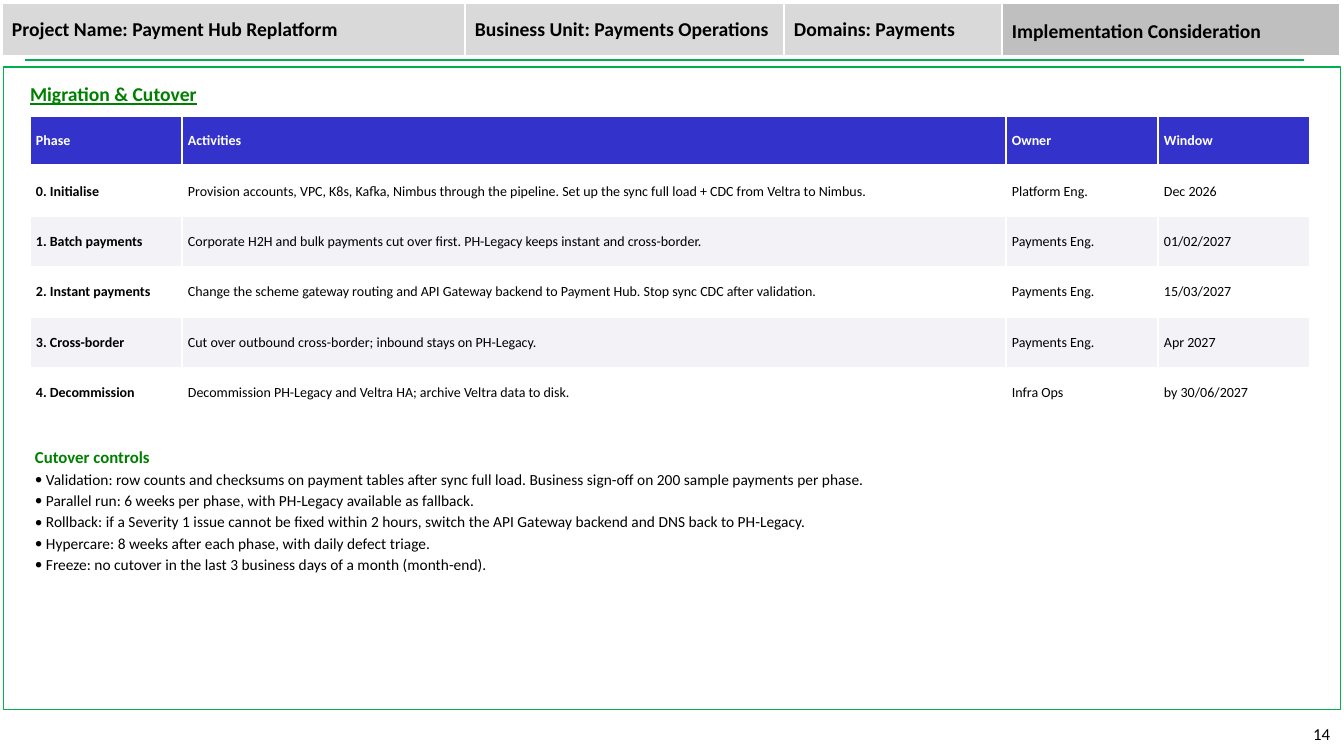
from dataclasses import dataclass

from lxml import etree
from pptx import Presentation, util as u
from pptx.dml.color import RGBColor
from pptx.enum import shapes, text
from pptx.oxml.ns import qn

EMU_PER_PX = 914400 / 100.8
FONT = "Calibri"
COLOURS = {
    "black": "000000",
    "white": "FFFFFF",
    "rule": "00B050",
    "heading": "008000",
    "header": "3333CC",
    "band": "F2F2F7",
    "grey": "D9D9D9",
    "dark grey": "BFBFBF",
}


@dataclass(frozen=True)
class Area:
    left: int
    top: int
    width: int
    height: int

    def emu(self) -> list[int]:
        return [px(side) for side in (self.left, self.top, self.width, self.height)]


@dataclass(frozen=True)
class Style:
    size: int
    colour: str = "black"
    bold: bool = False
    underline: bool = False


@dataclass(frozen=True)
class Inset:
    across: int
    down: int


@dataclass(frozen=True)
class Phase:
    name: str
    activities: str
    owner: str
    window: str


BANNER = Style(14, bold=True)
TITLE = Style(14, "heading", bold=True, underline=True)
SUBHEADING = Style(12, "heading", bold=True)
BULLET = Style(11)
PAGE_NUMBER = Style(12)
TABLE_HEADER = Style(10, "white", bold=True)
PHASE_NAME = Style(10, bold=True)
TABLE_BODY = Style(10)

WIDE = Inset(10, 5)
TIGHT = Inset(5, 3)
CELL = Inset(6, 3)

BANNER_CELLS = [
    ("Project Name: Payment Hub Replatform", 463, "grey"),
    ("Business Unit: Payments Operations", 319, "grey"),
    ("Domains: Payments", 218, "grey"),
    ("", 338, "dark grey"),
]
PHASE_WIDTHS = [152, 824, 152, 152]
PHASES = [
    Phase("Phase", "Activities", "Owner", "Window"),
    Phase("0. Initialise",
          "Provision accounts, VPC, K8s, Kafka, Nimbus through the pipeline. "
          "Set up the sync full load + CDC from Veltra to Nimbus.",
          "Platform Eng.", "Dec 2026"),
    Phase("1. Batch payments",
          "Corporate H2H and bulk payments cut over first. "
          "PH-Legacy keeps instant and cross-border.",
          "Payments Eng.", "01/02/2027"),
    Phase("2. Instant payments",
          "Change the scheme gateway routing and API Gateway backend to Payment Hub. "
          "Stop sync CDC after validation.",
          "Payments Eng.", "15/03/2027"),
    Phase("3. Cross-border",
          "Cut over outbound cross-border; inbound stays on PH-Legacy.",
          "Payments Eng.", "Apr 2027"),
    Phase("4. Decommission",
          "Decommission PH-Legacy and Veltra HA; archive Veltra data to disk.",
          "Infra Ops", "by 30/06/2027"),
]
CONTROLS = [
    "Validation: row counts and checksums on payment tables after sync full load. "
    "Business sign-off on 200 sample payments per phase.",
    "Parallel run: 6 weeks per phase, with PH-Legacy available as fallback.",
    "Rollback: if a Severity 1 issue cannot be fixed within 2 hours, "
    "switch the API Gateway backend and DNS back to PH-Legacy.",
    "Hypercare: 8 weeks after each phase, with daily defect triage.",
    "Freeze: no cutover in the last 3 business days of a month (month-end).",
]


def px(length: int) -> int:
    return round(length * EMU_PER_PX)


def rgb(name: str) -> RGBColor:
    return RGBColor.from_string(COLOURS[name])


def write(para, words: str, style: Style) -> None:
    para.text = words
    for span in para.runs:
        span.font.name = FONT
        span.font.size = u.Pt(style.size)
        span.font.bold = style.bold
        span.font.underline = style.underline
        span.font.color.rgb = rgb(style.colour)


def set_insets(holder, inset: Inset) -> None:
    """Set the margins of a text frame or a table cell."""
    holder.margin_left = holder.margin_right = px(inset.across)
    holder.margin_top = holder.margin_bottom = px(inset.down)


def add_text(page, area: Area, words: str, style: Style, inset: Inset = WIDE):
    frame = page.shapes.add_textbox(*area.emu()).text_frame
    frame.word_wrap = True
    set_insets(frame, inset)
    write(frame.paragraphs[0], words, style)
    return frame


def add_bullet(frame, words: str) -> None:
    para = frame.add_paragraph()
    props = para._p.get_or_add_pPr()
    props.set("marL", str(px(11)))
    props.set("indent", str(-px(11)))
    etree.SubElement(props, qn("a:buFont"), typeface=FONT)
    etree.SubElement(props, qn("a:buChar"), char="•")
    write(para, words, BULLET)


def set_borders(cell, bottom: int) -> None:
    """Draw white borders, all 1 pt wide but the bottom one."""
    props = cell._tc.get_or_add_tcPr()
    for index, side in enumerate("LRTB"):
        width = bottom if side == "B" else 1
        line = etree.Element(qn(f"a:ln{side}"), w=str(u.Pt(width)))
        fill = etree.SubElement(line, qn("a:solidFill"))
        etree.SubElement(fill, qn("a:srgbClr"), val=COLOURS["white"])
        props.insert(index, line)


def fill_cell(cell, words: str, style: Style, fill: str, inset: Inset, bottom: int) -> None:
    cell.fill.solid()
    cell.fill.fore_color.rgb = rgb(fill)
    set_borders(cell, bottom)
    cell.vertical_anchor = text.MSO_ANCHOR.MIDDLE
    set_insets(cell, inset)
    write(cell.text_frame.paragraphs[0], words, style)


def add_grid(page, area: Area, rows: int, widths: list[int]):
    table = page.shapes.add_table(rows, len(widths), *area.emu()).table
    table.horz_banding = False
    for column, width in zip(table.columns, widths):
        column.width = px(width)
    return table


def add_banner(page) -> None:
    rule = page.shapes.add_connector(
        shapes.MSO_CONNECTOR.STRAIGHT, px(25), px(60), px(1304), px(60))
    rule.line.color.rgb = rgb("rule")
    rule.line.width = u.Pt(1.5)
    etree.SubElement(rule._element.spPr, qn("a:effectLst"))
    table = add_grid(page, Area(2, 3, 1338, 54), 1, [width for _, width, _ in BANNER_CELLS])
    for column, (words, _, fill) in enumerate(BANNER_CELLS):
        fill_cell(table.cell(0, column), words, BANNER, fill, WIDE, bottom=3)


def add_frame(page) -> None:
    box = page.shapes.add_shape(shapes.MSO_SHAPE.RECTANGLE, *Area(4, 67, 1337, 643).emu())
    box.shadow.inherit = False
    box.fill.background()
    box.line.color.rgb = rgb("rule")
    box.line.width = u.Pt(0.75)


def set_title(page) -> None:
    title = page.shapes.title
    title.left, title.top, title.width, title.height = Area(25, 79, 806, 32).emu()
    frame = title.text_frame
    frame.auto_size = text.MSO_AUTO_SIZE.NONE
    frame.vertical_anchor = text.MSO_ANCHOR.TOP
    set_insets(frame, TIGHT)
    write(frame.paragraphs[0], "Migration & Cutover", TITLE)
    frame.paragraphs[0].alignment = text.PP_ALIGN.LEFT


def add_phases(page) -> None:
    table = add_grid(page, Area(30, 116, 1280, 302), len(PHASES), PHASE_WIDTHS)
    for row, phase in enumerate(PHASES):
        fill = "header" if row == 0 else "white" if row % 2 else "band"
        for column, words in enumerate((phase.name, phase.activities, phase.owner, phase.window)):
            style = TABLE_HEADER if row == 0 else TABLE_BODY if column else PHASE_NAME
            fill_cell(table.cell(row, column), words, style, fill, CELL, bottom=1 if row else 3)


def add_controls(page) -> None:
    frame = add_text(page, Area(30, 444, 1290, 252), "Cutover controls", SUBHEADING, TIGHT)
    for control in CONTROLS:
        add_bullet(frame, control)
    for para in frame.paragraphs:
        para.space_after = u.Pt(2)


def main() -> None:
    deck = Presentation()
    deck.slide_width, deck.slide_height = px(1344), px(756)
    page = deck.slides.add_slide(deck.slide_layouts.get_by_name("Title Only"))
    add_banner(page)
    add_frame(page)
    number = add_text(page, Area(1027, 714, 313, 40), "14", PAGE_NUMBER)
    number.vertical_anchor = text.MSO_ANCHOR.MIDDLE
    number.paragraphs[0].alignment = text.PP_ALIGN.RIGHT
    add_text(page, Area(1002, 14, 333, 34), "Implementation Consideration", BANNER)
    set_title(page)
    add_phases(page)
    add_controls(page)
    deck.save("out.pptx")


if __name__ == "__main__":
    main()
